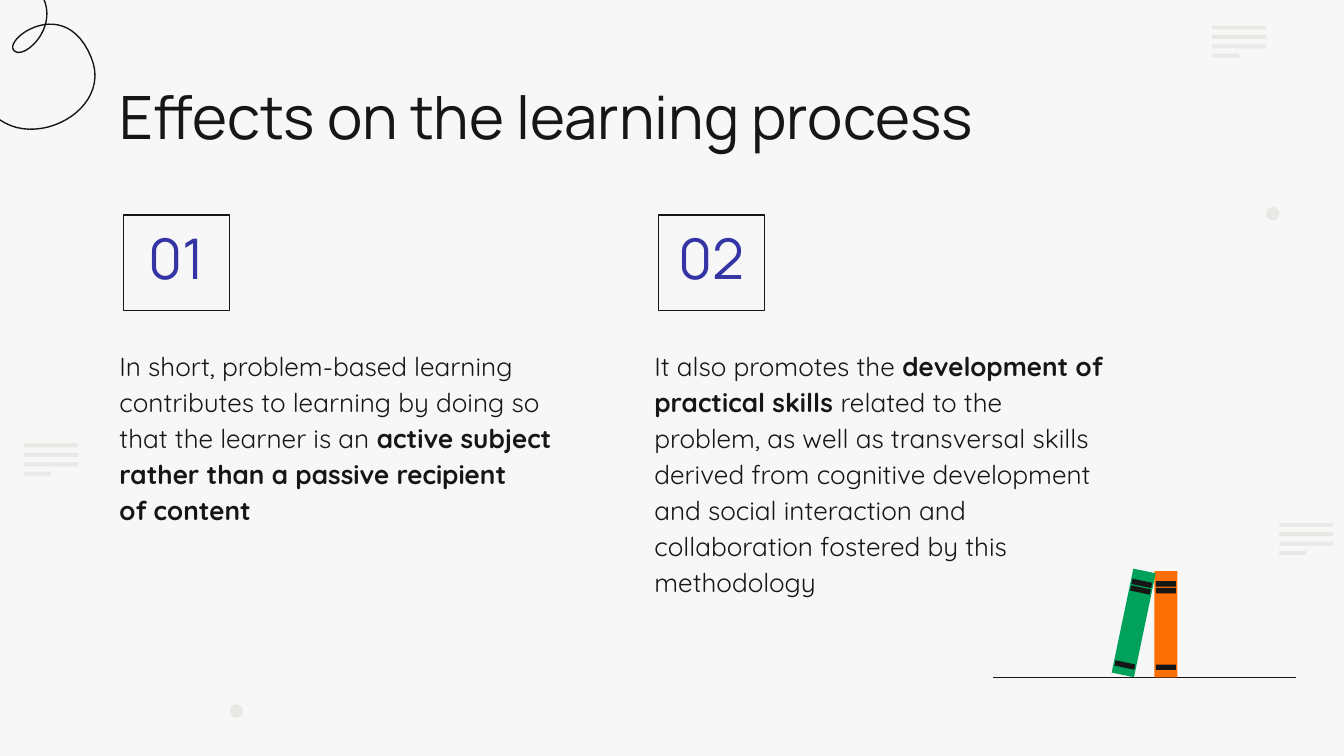
import math
from lxml import etree
from pptx import Presentation
from pptx.dml.color import RGBColor
from pptx.enum.shapes import MSO_CONNECTOR, MSO_SHAPE
from pptx.enum.text import MSO_ANCHOR, MSO_AUTO_SIZE, PP_ALIGN
from pptx.oxml.ns import qn
from pptx.util import Inches, Pt

RECT, OVAL = MSO_SHAPE.RECTANGLE, MSO_SHAPE.OVAL
STRAIGHT = MSO_CONNECTOR.STRAIGHT
TOP, BOTTOM = MSO_ANCHOR.TOP, MSO_ANCHOR.BOTTOM
LEFT, CENTER = PP_ALIGN.LEFT, PP_ALIGN.CENTER
FIXED = MSO_AUTO_SIZE.NONE

COLORS = {"back": "F7F7F7", "ink": "161616", "pale": "E7E9E4",
          "blue": "3434A4", "orange": "FD6E05", "green": "00A15B"}
HEAD, BODY = "Manrope", "Quicksand"


def color(name):
    return RGBColor.from_string(COLORS[name])


def write(frame, text, size=14, font=BODY, ink="ink", align=LEFT,
          anchor=TOP, space=None, foot=0.1):
    """Fill a text frame; parts between asterisks are bold."""
    frame.word_wrap = True
    frame.auto_size = FIXED
    frame.vertical_anchor = anchor
    frame.margin_left = frame.margin_right = frame.margin_top = Inches(0.1)
    frame.margin_bottom = Inches(foot)
    for i, line in enumerate(text.split("\n")):
        para = frame.add_paragraph() if i else frame.paragraphs[0]
        para.alignment = align
        if space:
            para.line_spacing = space
        for j, part in enumerate(line.split("*")):
            if part:
                run = para.add_run()
                run.text = part
                run.font.size = Pt(size)
                run.font.name = font
                run.font.bold = j % 2 == 1
                run.font.color.rgb = color(ink)


class Deck:
    def __init__(self, wide, high):
        self.file = Presentation()
        self.file.slide_width = Inches(wide)
        self.file.slide_height = Inches(high)
        self.slide = self.file.slides.add_slide(self.file.slide_layouts[5])
        self.slide.background.fill.solid()
        self.slide.background.fill.fore_color.rgb = color("back")
        self.shapes = self.slide.shapes

    def style(self, shape, fill=None, line=None):
        shape.shadow.inherit = False
        if fill:
            shape.fill.solid()
            shape.fill.fore_color.rgb = color(fill)
        else:
            shape.fill.background()
        if line:
            shape.line.color.rgb = color(line)
            shape.line.width = Pt(0.75)
        else:
            shape.line.fill.background()
        return shape

    def shape(self, kind, x, y, w, h, fill=None, line=None, turn=0):
        item = self.shapes.add_shape(kind, *map(Inches, (x, y, w, h)))
        item.rotation = turn
        return self.style(item, fill, line)

    def title(self, text, x, y, w, h):
        item = self.shapes.title
        item.left, item.top, item.width, item.height = map(Inches, (x, y, w, h))
        write(item.text_frame, text, size=32, font=HEAD)

    def text(self, text, x, y, w, h, **form):
        box = self.shapes.add_textbox(*map(Inches, (x, y, w, h)))
        write(box.text_frame, text, **form)

    def line(self, x1, y1, x2, y2):
        item = self.shapes.add_connector(STRAIGHT, *map(Inches, (x1, y1, x2, y2)))
        item.line.color.rgb = color("ink")
        item.line.width = Pt(0.75)
        etree.SubElement(item._element.spPr, qn("a:effectLst"))

    def curve(self, start, parts, steps=24):
        """Draw joined cubic Bezier parts as one open outline."""
        points, here = [], start
        for part in parts:
            knots = (here, *part)
            for n in range(1, steps + 1):
                t = n / steps
                mix = [math.comb(3, k) * t**k * (1 - t)**(3 - k) for k in range(4)]
                points.append(tuple(
                    Inches(sum(m * p[axis] for m, p in zip(mix, knots)))
                    for axis in (0, 1)))
            here = part[-1]
        pen = self.shapes.build_freeform(*map(Inches, start))
        pen.add_line_segments(points, close=False)
        self.style(pen.convert_to_shape(), line="ink")

    def bars(self, x, y):
        for i, w in enumerate((0.4, 0.4, 0.4, 0.2)):
            self.shape(RECT, x, y + i * 0.07, w, 0.03, "pale")

    def book(self, x, y, fill, turn=0):
        w, h = 0.17, 0.79
        self.shape(RECT, x, y, w, h, fill, turn=turn)
        angle = math.radians(turn)
        # Band centres lie on the book's tilted axis
        for gap in (-0.3, -0.25, 0.32):
            mid = x + w / 2 - gap * math.sin(angle)
            level = y + h / 2 + gap * math.cos(angle)
            self.shape(RECT, mid - 0.15 / 2, level - 0.02, 0.15, 0.04, "ink",
                       turn=turn)


def main():
    deck = Deck(10, 10 * 9 / 16)

    # Background decoration
    deck.curve((0.21, -0.15), [
        ((0.55, 0.12), (0.17, 0.48), (0.1, 0.37)),
        ((0.04, 0.28), (0.49, -0.04), (0.68, 0.43)),
        ((0.84, 0.82), (0.25, 1.13), (-0.04, 0.86))])
    for x, y in ((9.42, 1.54), (1.71, 5.24)):
        deck.shape(OVAL, x, y, 0.1, 0.1, "pale")
    for x, y in ((9.52, 3.89), (9.02, 0.19), (0.18, 3.3)):
        deck.bars(x, y)

    # Title and numbered columns
    deck.title("Effects on the learning process", 0.79, 0.49, 8.43, 0.63)
    effects = (
        "In short, problem-based learning contributes to learning by doing so "
        "that the learner is an *active subject rather than a passive recipient*"
        "\n*of content*",
        "It also promotes the *development of practical skills *related to the "
        "problem, as well as transversal skills derived from cognitive "
        "development and social interaction and collaboration fostered by this "
        "methodology")
    for i, text in enumerate(effects):
        x = 0.79 + i * 3.98
        box = deck.shape(RECT, x + 0.13, 1.6, 0.79, 0.71, line="ink")
        write(box.text_frame, f"{i + 1:02}", size=30, font=HEAD, ink="blue",
              align=CENTER, anchor=BOTTOM, space=1.15, foot=0.15)
        deck.text(text, x, 2.47, 3.62, 2.57, space=1.15)

    # Books on a shelf
    deck.line(7.39, 5.04, 9.64, 5.04)
    deck.book(8.59, 4.25, "orange")
    deck.book(8.35, 4.24, "green", turn=11.8)

    deck.file.save("out.pptx")


if __name__ == "__main__":
    main()
